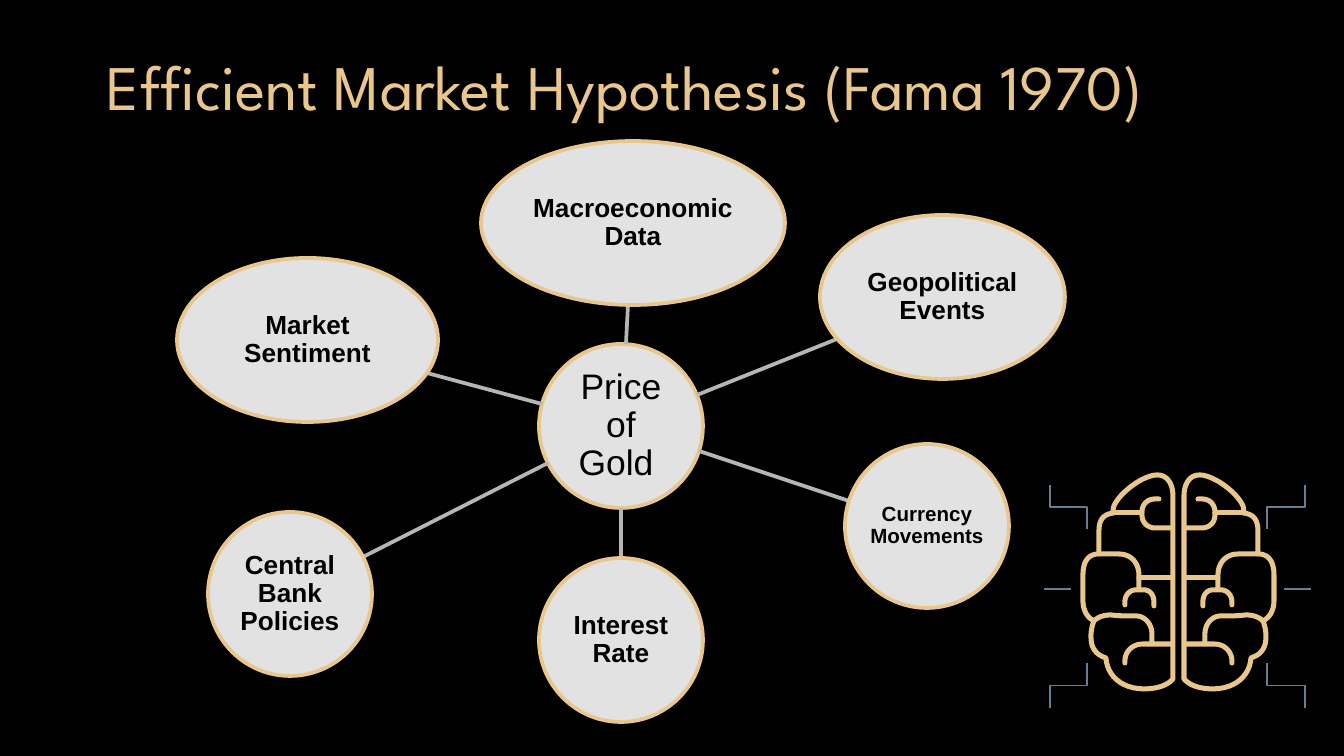
"""Build a slide that links the price of gold to the information behind it."""
from dataclasses import dataclass
from math import hypot

from lxml import etree
from pptx import Presentation
from pptx.dml.color import RGBColor
from pptx.enum.shapes import MSO_CONNECTOR, MSO_SHAPE
from pptx.enum.text import MSO_ANCHOR, PP_ALIGN
from pptx.oxml.ns import qn
from pptx.util import Pt

STRAIGHT, ELBOW = MSO_CONNECTOR.STRAIGHT, MSO_CONNECTOR.ELBOW
OVAL = MSO_SHAPE.OVAL
TOP, MIDDLE = MSO_ANCHOR.TOP, MSO_ANCHOR.MIDDLE
LEFT, CENTER = PP_ALIGN.LEFT, PP_ALIGN.CENTER

EMU_PER_PX = 914400 / 134.4
SLIDE_SIZE = (1344, 756)
COLORS = {
    "background": "000000",
    "gold": "E9C78C",
    "bubble": "E2E2E2",
    "bubble_text": "000000",
    "spoke": "B5B5B5",
    "circuit": "667E92",
}
BUBBLE_HEIGHT = 164
BRAIN_MIRROR = 2357
BRAIN_WEIGHT = 2.7
CURVE_STEPS = 12
QUARTER_TURN = "5400000"


@dataclass(frozen=True)
class Bubble:
    """An ellipse with a label."""

    label: str
    left: int
    top: int
    width: int = BUBBLE_HEIGHT
    size: int = 14
    bold: bool = True

    @property
    def center(self) -> tuple[float, float]:
        """Return the middle of the ellipse."""
        return self.left + self.width / 2, self.top + BUBBLE_HEIGHT / 2

    def edge_toward(self, other: "Bubble") -> tuple[int, int]:
        """Return the border point that faces another bubble."""
        (x, y), (other_x, other_y) = self.center, other.center
        dx, dy = other_x - x, other_y - y
        reach = 1 / hypot(dx / (self.width / 2), dy / (BUBBLE_HEIGHT / 2))
        return round(x + dx * reach), round(y + dy * reach)


@dataclass(frozen=True)
class Fold:
    """A brain contour: a start, then line ends (2 numbers) and curves (6)."""

    start: tuple[int, int]
    steps: tuple[tuple[int, ...], ...]


HUB = Bubble("Price of Gold ", 539, 344, size=19, bold=False)
FACTORS = (
    Bubble("Macroeconomic Data", 481, 141, 304),
    Bubble("Geopolitical Events", 820, 215, 245),
    Bubble("Currency Movements", 845, 444, size=11),
    Bubble("Interest Rate", 539, 558),
    Bubble("Central Bank Policies", 208, 512),
    Bubble("Market Sentiment", 177, 258, 261),
)
HEMISPHERE = (
    Fold((1157, 475), (
        (1170, 475, 1173, 488, 1173, 496), (1173, 679),
        (1168, 685, 1158, 689, 1144, 689), (1121, 689, 1107, 675, 1106, 658),
        (1096, 655, 1091, 648, 1091, 637), (1091, 631, 1092, 626, 1094, 621),
        (1084, 616, 1083, 605, 1083, 601), (1083, 575),
        (1083, 562, 1088, 554, 1099, 554), (1099, 531),
        (1099, 518, 1105, 514, 1114, 513), (1113, 511, 1113, 509, 1114, 506),
        (1120, 492, 1144, 475, 1157, 475))),
    Fold((1094, 621), (
        (1098, 617, 1104, 615, 1111, 615), (1118, 616, 1126, 616, 1136, 616),
        (1145, 616, 1152, 624, 1152, 634), (1152, 644))),
    Fold((1172, 644), ((1143, 644), (1132, 644, 1125, 652, 1125, 661), (1125, 663))),
    Fold((1099, 554), ((1119, 554), (1131, 554, 1139, 563, 1139, 575), (1139, 589))),
    Fold((1139, 578), ((1172, 578),)),
    Fold((1125, 605), (
        (1125, 602), (1125, 595, 1130, 590, 1136, 590), (1144, 590),
        (1150, 590, 1154, 595, 1154, 602), (1154, 606))),
    Fold((1115, 513), ((1142, 513),)),
    Fold((1159, 499), (
        (1155, 499), (1147, 499, 1142, 505, 1142, 512), (1142, 515),
        (1142, 523, 1148, 528, 1155, 528), (1172, 528))),
)
BRACKET_COLUMNS = ((1087, 1050), (1267, 1305))
BRACKET_ROWS = ((529, 485), (663, 708))
SIDE_TICKS = ((1071, 1044), (1311, 1284))
TICK_HEIGHT = 589


def px(length: float) -> int:
    """Turn pixels into EMU."""
    return round(length * EMU_PER_PX)


def rgb(role: str) -> RGBColor:
    """Look up a colour by its role."""
    return RGBColor.from_string(COLORS[role])


def set_line(line, role: str, weight: float) -> None:
    """Give a line its colour and weight."""
    line.color.rgb = rgb(role)
    line.width = Pt(weight)


def write(frame, text: str, role: str, font: dict, paragraph: dict, layout: dict) -> None:
    """Fill a text frame with one formatted paragraph."""
    line = frame.paragraphs[0]
    run = line.add_run()
    run.text = text
    run.font.color.rgb = rgb(role)
    for target, values in ((frame, layout), (line, paragraph), (run.font, font)):
        for attribute, value in values.items():
            setattr(target, attribute, value)


def margins(left: int, top: int, right: int, bottom: int) -> dict:
    """Return text frame margins as format values."""
    return {"margin_left": px(left), "margin_top": px(top),
            "margin_right": px(right), "margin_bottom": px(bottom)}


def draw_link(shapes, kind, begin, end, role: str, weight: float):
    """Draw a connector without a shadow."""
    link = shapes.add_connector(kind, *map(px, (*begin, *end)))
    set_line(link.line, role, weight)
    etree.SubElement(link.element.spPr, qn("a:effectLst"))
    return link


def draw_bracket(shapes, begin: tuple[int, int], end: tuple[int, int]) -> None:
    """Draw an elbow that leaves and arrives vertically."""
    x, y = (begin[0] + end[0]) / 2, (begin[1] + end[1]) / 2
    turned = [(x + py - y, y - (qx - x)) for qx, py in (begin, end)]
    bracket = draw_link(shapes, ELBOW, *turned, "circuit", 0.75)
    bracket.element.spPr.xfrm.set("rot", QUARTER_TURN)


def draw_bubble(shapes, bubble: Bubble) -> None:
    """Draw an ellipse with its label."""
    box = (bubble.left, bubble.top, bubble.width, BUBBLE_HEIGHT)
    ellipse = shapes.add_shape(OVAL, *map(px, box))
    ellipse.shadow.inherit = False
    ellipse.fill.solid()
    ellipse.fill.fore_color.rgb = rgb("bubble")
    set_line(ellipse.line, "gold", 2)
    write(ellipse.text_frame, bubble.label, "bubble_text",
          {"name": "Arial", "size": Pt(bubble.size), "bold": bubble.bold},
          {"alignment": CENTER, "line_spacing": 0.9},
          {"word_wrap": True, "vertical_anchor": MIDDLE, **margins(1, 1, 1, 1)})


def trace(fold: Fold) -> list[tuple[float, float]]:
    """Return the points along a fold."""
    points = [fold.start]
    for step in fold.steps:
        if len(step) == 2:
            points.append(step)
            continue
        x0, y0 = points[-1]
        x1, y1, x2, y2, x3, y3 = step
        for index in range(1, CURVE_STEPS + 1):
            t = index / CURVE_STEPS
            weights = ((1 - t) ** 3, 3 * t * (1 - t) ** 2, 3 * t * t * (1 - t), t ** 3)
            points.append(tuple(sum(w * c for w, c in zip(weights, axis))
                                for axis in ((x0, x1, x2, x3), (y0, y1, y2, y3))))
    return points


def draw_fold(shapes, fold: Fold, mirrored: bool) -> None:
    """Draw one brain contour on the left or the right half."""
    start, *rest = [(px(BRAIN_MIRROR - x if mirrored else x), px(y)) for x, y in trace(fold)]
    builder = shapes.build_freeform(*start)
    builder.add_line_segments(rest, close=start == rest[-1])
    contour = builder.convert_to_shape()
    contour.shadow.inherit = False
    contour.fill.background()
    set_line(contour.line, "gold", BRAIN_WEIGHT)
    contour.element.spPr.find(qn("a:ln")).set("cap", "rnd")


def main() -> None:
    """Build and save the slide."""
    deck = Presentation()
    deck.slide_width, deck.slide_height = map(px, SLIDE_SIZE)
    slide = deck.slides.add_slide(deck.slide_layouts[6])
    slide.background.fill.solid()
    slide.background.fill.fore_color.rgb = rgb("background")
    shapes = slide.shapes
    title = shapes.add_textbox(*map(px, (94, 47, 1232, 78)))
    write(title.text_frame, "Efficient Market Hypothesis (Fama 1970)", "gold",
          {"name": "League Spartan", "size": Pt(34)}, {"alignment": LEFT},
          {"word_wrap": True, "vertical_anchor": TOP, **margins(13, 0, 13, 13)})
    draw_bubble(shapes, HUB)
    for factor in FACTORS:
        draw_link(shapes, STRAIGHT, HUB.edge_toward(factor), factor.edge_toward(HUB), "spoke", 2)
        draw_bubble(shapes, factor)
    for begin_y, end_y in BRACKET_ROWS:
        for begin_x, end_x in BRACKET_COLUMNS:
            draw_bracket(shapes, (begin_x, begin_y), (end_x, end_y))
    for begin_x, end_x in SIDE_TICKS:
        draw_link(shapes, STRAIGHT, (begin_x, TICK_HEIGHT), (end_x, TICK_HEIGHT), "circuit", 0.75)
    for mirrored in (False, True):
        for fold in HEMISPHERE:
            draw_fold(shapes, fold, mirrored)
    deck.save("out.pptx")


if __name__ == "__main__":
    main()
